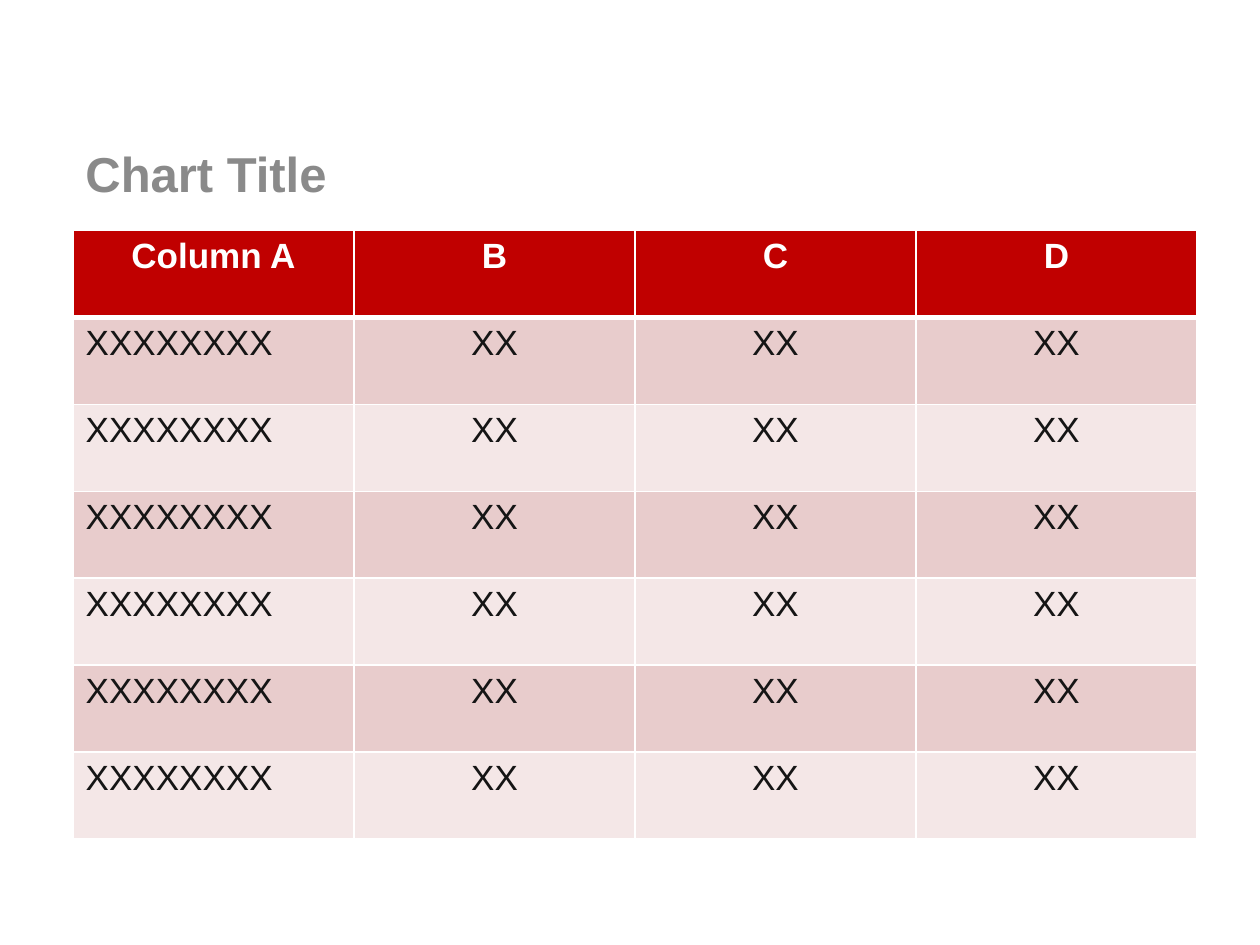
from dataclasses import dataclass

from pptx import Presentation
from pptx.dml.color import RGBColor
from pptx.enum import text
from pptx.oxml import parse_xml
from pptx.oxml.ns import nsdecls
from pptx.util import Inches, Pt

WHITE = "FFFFFF"
THIN, THICK = 0.96, 3
LEFT, WIDTH = 0.58, 8.92
ROW_HEIGHT = 0.69


@dataclass(frozen=True)
class Style:
    size: int
    color: str
    bold: bool = False


@dataclass(frozen=True)
class Row:
    labels: tuple[str, ...]
    fill: str
    style: Style
    first_align: text.PP_ALIGN
    top: float = THIN
    bottom: float = THIN


def rgb(value: str) -> RGBColor:
    return RGBColor.from_string(value)


def write(frame, words: str, style: Style, align: text.PP_ALIGN) -> None:
    paragraph = frame.paragraphs[0]
    paragraph.alignment = align
    run = paragraph.add_run()
    run.text = words
    run.font.name = "Arial"
    run.font.size = Pt(style.size)
    run.font.bold = style.bold
    run.font.color.rgb = rgb(style.color)


def set_borders(cell, top: float, bottom: float) -> None:
    properties = cell._tc.get_or_add_tcPr()
    sides = (("L", THIN), ("R", THIN), ("T", top), ("B", bottom))
    for place, (side, width) in enumerate(sides):
        line = parse_xml(
            f'<a:ln{side} {nsdecls("a")} w="{int(Pt(width))}"><a:solidFill>'
            f'<a:srgbClr val="{WHITE}"/></a:solidFill></a:ln{side}>'
        )
        properties.insert(place, line)


def draw_title(slide, words: str) -> None:
    box = slide.shapes.add_textbox(Inches(LEFT), Inches(1.08), Inches(WIDTH), Inches(0.58))
    box.text_frame.word_wrap = True
    box.text_frame.vertical_anchor = text.MSO_ANCHOR.MIDDLE
    write(box.text_frame, words, Style(28, "8A8A8A", True), text.PP_ALIGN.LEFT)


def draw_table(slide, rows: list[Row]) -> None:
    table = slide.shapes.add_table(
        len(rows), len(rows[0].labels),
        Inches(LEFT), Inches(1.83), Inches(WIDTH), Inches(ROW_HEIGHT * len(rows)),
    ).table
    for line, row in zip(table.rows, rows):
        line.height = Inches(ROW_HEIGHT)
        for column, (cell, label) in enumerate(zip(line.cells, row.labels)):
            cell.fill.solid()
            cell.fill.fore_color.rgb = rgb(row.fill)
            set_borders(cell, row.top, row.bottom)
            align = text.PP_ALIGN.CENTER if column else row.first_align
            write(cell.text_frame, label, row.style, align)


def main() -> None:
    deck = Presentation()
    deck.slide_width, deck.slide_height = Inches(10), Inches(7.5)
    slide = deck.slides.add_slide(deck.slide_layouts[6])
    draw_title(slide, "Chart Title")

    header = Row(("Column A", "B", "C", "D"), "C00000", Style(20, WHITE, True),
                 text.PP_ALIGN.CENTER, bottom=THICK)
    body = [
        Row(("XXXXXXXX", "XX", "XX", "XX"), ("E8CCCC", "F4E7E7")[index % 2],
            Style(20, "151515"), text.PP_ALIGN.LEFT, top=THIN if index else THICK)
        for index in range(6)
    ]
    draw_table(slide, [header, *body])
    deck.save("out.pptx")


if __name__ == "__main__":
    main()
